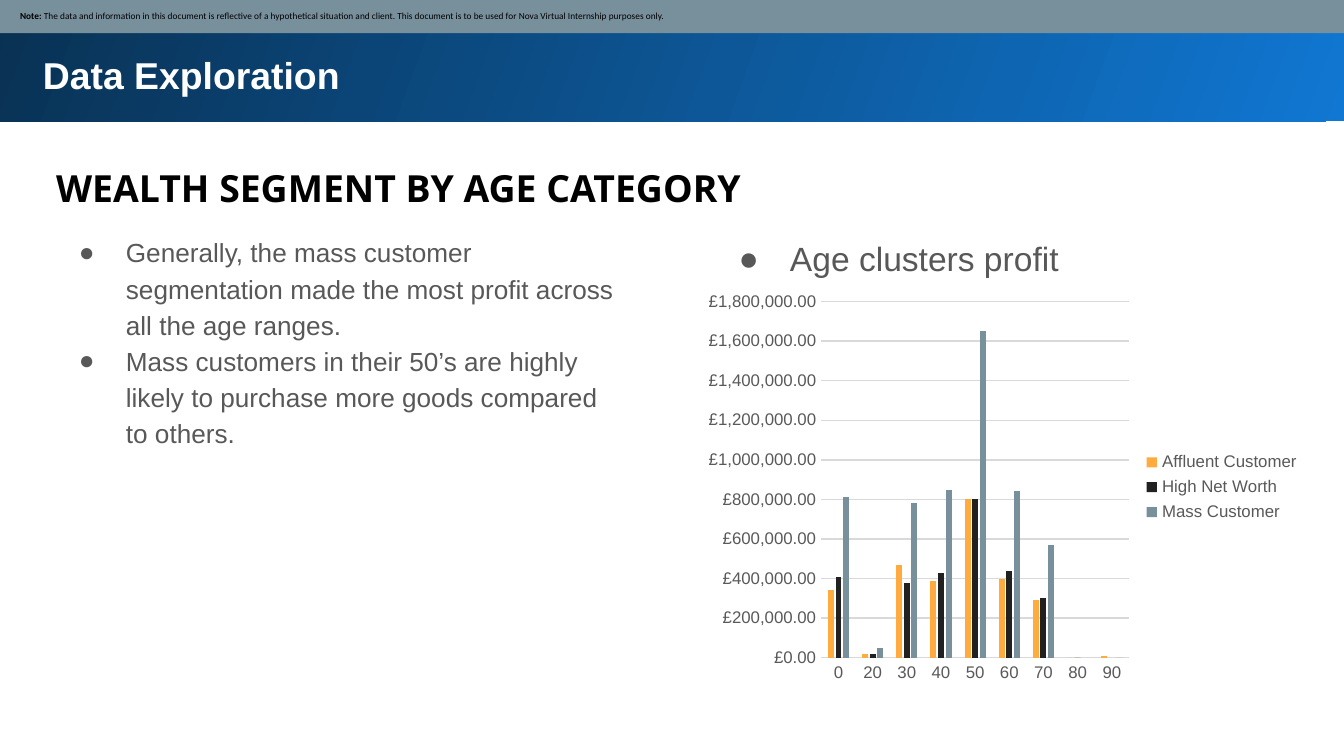
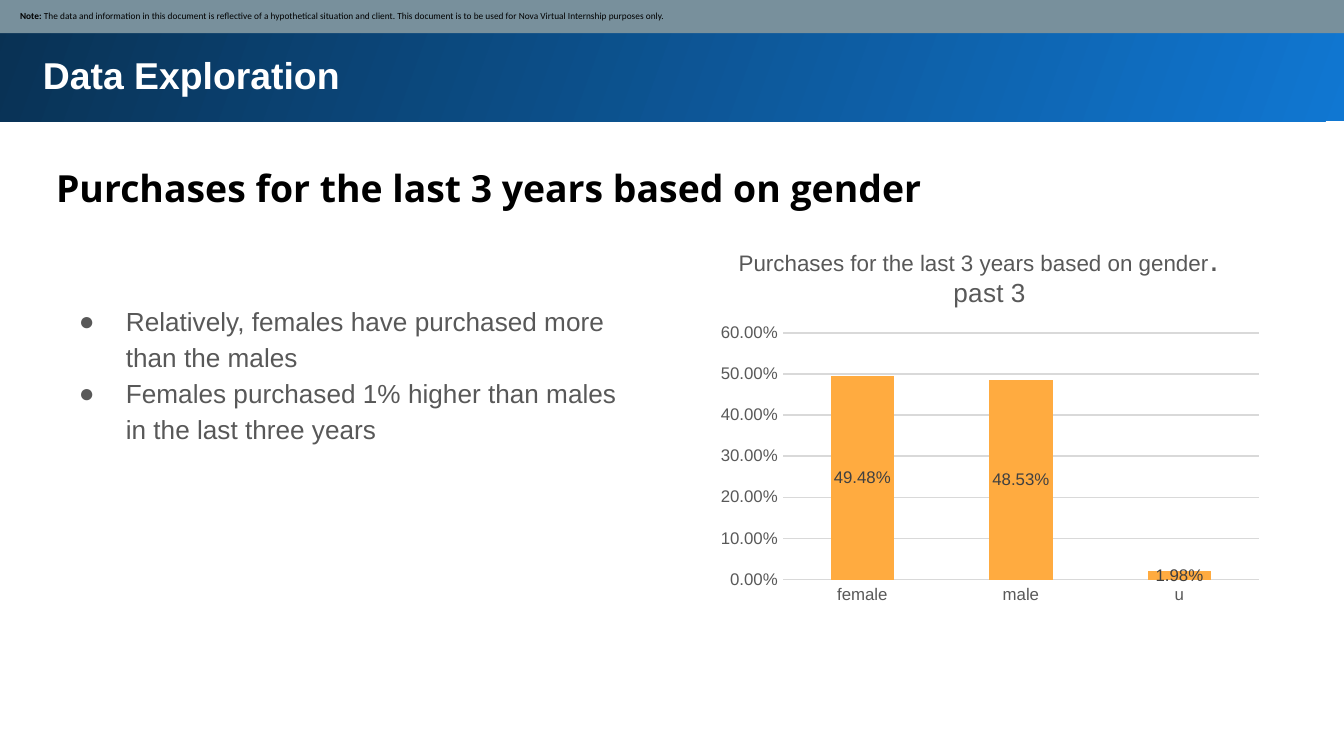
from dataclasses import dataclass

from lxml import etree
from pptx import Presentation
from pptx import util as u
from pptx.chart import data
from pptx.dml.color import RGBColor
from pptx.enum import chart as ch
from pptx.enum import shapes, text
from pptx.oxml.ns import qn


@dataclass(frozen=True)
class Theme:
    white: str = "FFFFFF"
    black: str = "000000"
    bright_blue: str = "1077D2"
    navy: str = "093153"
    slate: str = "78909C"
    amber: str = "FFAB40"
    charcoal: str = "212121"
    body_grey: str = "585858"
    axis_grey: str = "595959"
    label_grey: str = "404040"
    grid_grey: str = "D9D9D9"
    sans: str = "Arial"
    heading_font: str = "Open Sans"
    note_font: str = "Calibri"
    title_size: float = 20
    lead_size: float = 18
    body_size: float = 14
    caption_size: float = 12
    chart_size: float = 9
    note_size: float = 5


theme = Theme()


def style_font(font, size, color, name=theme.sans, bold=False):
    font.size = u.Pt(size)
    font.name = name
    font.bold = bold
    font.color.rgb = RGBColor.from_string(color)


def write(frame, paragraphs, inset=0.25, top=None, spacing=None, indent=0, hang=0):
    frame.word_wrap = True
    frame.auto_size = text.MSO_AUTO_SIZE.NONE
    frame.margin_left = frame.margin_right = frame.margin_bottom = u.Cm(inset)
    frame.margin_top = u.Cm(inset if top is None else top)
    for index, runs in enumerate(paragraphs):
        paragraph = frame.add_paragraph() if index else frame.paragraphs[0]
        paragraph.alignment = text.PP_ALIGN.LEFT
        if spacing:
            paragraph.line_spacing = spacing
        properties = paragraph._p.get_or_add_pPr()
        properties.set("marL", str(u.Cm(indent)))
        properties.set("indent", str(-u.Cm(hang)))
        if hang:
            bullet_color = etree.SubElement(properties, qn("a:buClr"))
            etree.SubElement(bullet_color, qn("a:srgbClr"), val=theme.body_grey)
            etree.SubElement(properties, qn("a:buFont"), typeface=theme.sans)
            etree.SubElement(properties, qn("a:buChar"), char="●")
        for words, *style in runs:
            run = paragraph.add_run()
            run.text = words
            style_font(run.font, *style)


body = (theme.body_size, theme.body_grey)
topics = [
    dict(
        heading="WEALTH SEGMENT BY AGE CATEGORY",
        findings=[
            "Generally, the mass customer segmentation made the most profit across all the age ranges.",
            "Mass customers in their 50’s are highly likely to purchase more goods compared to others.",
        ],
        findings_top=0.25,
        caption=[("Age clusters profit", theme.lead_size, theme.body_grey)],
        caption_indent=1.27,
        caption_hang=0.97,
        chart_at=(13.16, 5.36, 11.66, 7.7),
        chart_type=ch.XL_CHART_TYPE.COLUMN_CLUSTERED,
        categories=["0", "20", "30", "40", "50", "60", "70", "80", "90"],
        series=[
            ("Affluent Customer", theme.amber,
             [340000, 20000, 470000, 390000, 800000, 400000, 290000, 0, 10000]),
            ("High Net Worth", theme.charcoal,
             [410000, 20000, 380000, 430000, 800000, 440000, 300000, 0, None]),
            ("Mass Customer", theme.slate,
             [810000, 50000, 780000, 850000, 1650000, 840000, 570000, None, 0]),
        ],
        gap=219,
        overlap=-27,
        number_format='"£"#,##0.00',
        maximum=1800000,
        step=200000,
        chart_title=None,
    ),
    dict(
        heading="Purchases for the last 3 years based on gender",
        findings=[
            "Relatively, females have purchased more than the males",
            "Females purchased 1% higher than males in the last three years",
        ],
        findings_top=1.55,
        caption=[
            ("Purchases for the last 3 years based on gender", theme.caption_size, theme.body_grey),
            (".", theme.lead_size, theme.body_grey),
        ],
        caption_indent=0.3,
        caption_hang=0,
        chart_at=(13.41, 4.85, 10.59, 6.71),
        chart_type=ch.XL_CHART_TYPE.COLUMN_STACKED,
        categories=["female", "male", "u"],
        series=[("past 3", theme.amber, [0.4948, 0.4853, 0.0198])],
        gap=150,
        overlap=100,
        number_format="0.00%",
        maximum=0.6,
        step=0.1,
        chart_title="past 3",
    ),
]

deck = Presentation()
deck.slide_width = u.Cm(25.4)
deck.slide_height = u.Cm(14.29)
title_only = deck.slide_layouts[5]

for topic in topics:
    slide = deck.slides.add_slide(title_only)
    title = slide.shapes.title
    title.left, title.top, title.width, title.height = map(u.Cm, (0.56, 0.74, 23.8, 1.3))
    title.text_frame.vertical_anchor = text.MSO_ANCHOR.TOP
    write(title.text_frame,
          [[("Data Exploration", theme.title_size, theme.white, theme.sans, True)]])

    title_band = slide.shapes.add_shape(
        shapes.MSO_SHAPE.RECTANGLE, u.Cm(-0.05), u.Cm(-0.05), u.Cm(25.53), u.Cm(2.34))
    title_band.shadow.inherit = False
    title_band.line.fill.background()
    title_band.fill.gradient()
    title_band.fill.gradient_angle = 160
    for stop, color in zip(title_band.fill.gradient_stops, (theme.bright_blue, theme.navy)):
        stop.color.rgb = RGBColor.from_string(color)
    title.element.addprevious(title_band.element)

    heading = slide.shapes.add_textbox(u.Cm(0.81), u.Cm(2.74), u.Cm(23.8), u.Cm(1.42))
    write(heading.text_frame,
          [[(topic["heading"], theme.title_size, theme.black, theme.heading_font, True)]],
          spacing=1.15)

    note = slide.shapes.add_shape(
        shapes.MSO_SHAPE.RECTANGLE, u.Cm(-0.03), u.Cm(-0.03), u.Cm(25.48), u.Cm(0.66))
    note.shadow.inherit = False
    note.line.fill.background()
    note.fill.solid()
    note.fill.fore_color.rgb = RGBColor.from_string(theme.slate)
    note.text_frame.vertical_anchor = text.MSO_ANCHOR.MIDDLE
    write(note.text_frame, [[
        ("Note: ", theme.note_size, theme.black, theme.note_font, True),
        ("The data and information in this document is reflective of a hypothetical situation "
         "and client. This document is to be used for Nova Virtual Internship purposes only.",
         theme.note_size, theme.black, theme.note_font),
    ]], inset=0.13, indent=0.28)

    findings = slide.shapes.add_textbox(u.Cm(0.86), u.Cm(4.14), u.Cm(11.1), u.Cm(8.53))
    write(findings.text_frame, [[(finding, *body)] for finding in topic["findings"]],
          top=topic["findings_top"], spacing=1.15, indent=1.27, hang=0.89)

    caption = slide.shapes.add_textbox(u.Cm(13.41), u.Cm(4.14), u.Cm(11.1), u.Cm(8.53))
    write(caption.text_frame, [topic["caption"]], spacing=1.15,
          indent=topic["caption_indent"], hang=topic["caption_hang"])

    figures = data.CategoryChartData(number_format=topic["number_format"])
    figures.categories = topic["categories"]
    for name, _, values in topic["series"]:
        figures.add_series(name, values)
    chart = slide.shapes.add_chart(
        topic["chart_type"], *map(u.Cm, topic["chart_at"]), figures).chart
    style_font(chart.font, theme.chart_size, theme.axis_grey)

    plot = chart.plots[0]
    plot.vary_by_categories = False
    plot.gap_width = topic["gap"]
    plot.overlap = topic["overlap"]
    for series, (_, color, _) in zip(plot.series, topic["series"]):
        series.format.fill.solid()
        series.format.fill.fore_color.rgb = RGBColor.from_string(color)
        series.invert_if_negative = False

    groups, amounts = chart.category_axis, chart.value_axis
    for axis in (groups, amounts):
        axis.major_tick_mark = axis.minor_tick_mark = ch.XL_TICK_MARK.NONE
        style_font(axis.tick_labels.font, theme.chart_size, theme.axis_grey)
    amounts.minimum_scale = 0
    amounts.maximum_scale = topic["maximum"]
    amounts.major_unit = topic["step"]
    amounts.tick_labels.number_format = topic["number_format"]
    amounts.tick_labels.number_format_is_linked = False
    amounts.format.line.fill.background()
    for rule in (groups.format.line, amounts.major_gridlines.format.line):
        rule.width = u.Pt(0.75)
        rule.color.rgb = RGBColor.from_string(theme.grid_grey)

    if topic["chart_title"]:
        chart.has_legend = False
        chart_heading = chart.chart_title.text_frame.paragraphs[0].add_run()
        chart_heading.text = topic["chart_title"]
        style_font(chart_heading.font, theme.body_size, theme.axis_grey)
        plot.has_data_labels = True
        shares = plot.data_labels
        shares.show_value = True
        shares.position = ch.XL_LABEL_POSITION.CENTER
        shares.number_format = topic["number_format"]
        shares.number_format_is_linked = False
        style_font(shares.font, theme.chart_size, theme.label_grey)
    else:
        chart.has_title = False
        chart.has_legend = True
        chart.legend.position = ch.XL_LEGEND_POSITION.RIGHT
        chart.legend.include_in_layout = False
        style_font(chart.legend.font, theme.chart_size, theme.axis_grey)

deck.save("out.pptx")
